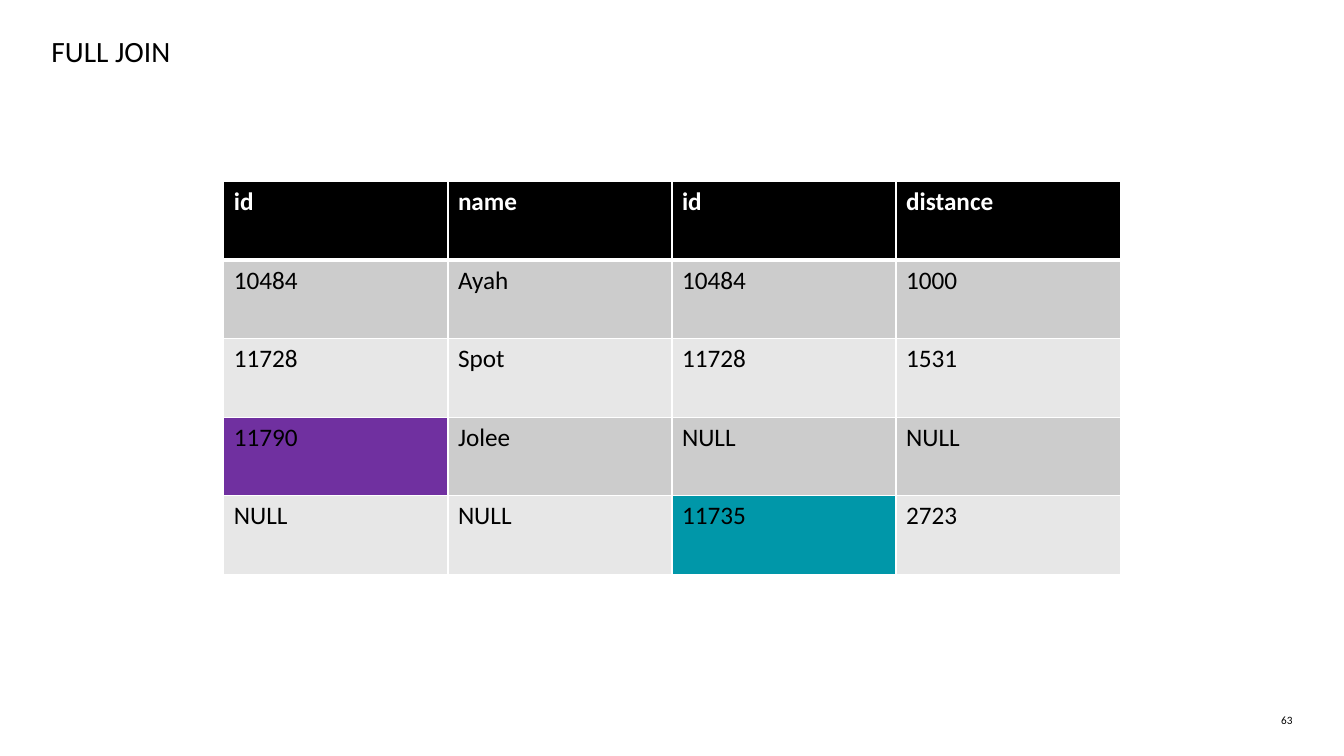
from lxml import etree
from pptx import Presentation
from pptx import util as u
from pptx.dml.color import RGBColor
from pptx.enum import text
from pptx.oxml.ns import qn

FONT = "Calibri"
BLACK, WHITE = "000000", "FFFFFF"
BANDS = ["CCCCCC", "E7E7E7"]
HIGHLIGHTS = {(3, 0): "7030A0", (4, 2): "0097A9"}
JOIN_ROWS = [
    ["id", "name", "id", "distance"],
    ["10484", "Ayah", "10484", "1000"],
    ["11728", "Spot", "11728", "1531"],
    ["11790", "Jolee", "NULL", "NULL"],
    ["NULL", "NULL", "11735", "2723"],
]


def color(value):
    return RGBColor.from_string(value)


def write(frame, words, size, fill=BLACK, bold=False, align=text.PP_ALIGN.LEFT):
    paragraph = frame.paragraphs[0]
    paragraph.alignment = align
    run = paragraph.add_run()
    run.text = words
    run.font.name = FONT
    run.font.size = u.Pt(size)
    run.font.bold = bold
    run.font.color.rgb = color(fill)


def prepare_frame(frame):
    frame.margin_left = frame.margin_right = frame.margin_top = frame.margin_bottom = 0
    frame.vertical_anchor = text.MSO_ANCHOR.TOP
    frame.auto_size = text.MSO_AUTO_SIZE.NONE
    frame.word_wrap = True


def add_border(cell, side, width):
    properties = cell._tc.get_or_add_tcPr()
    line = etree.SubElement(properties, qn("a:ln" + side), w=str(u.Pt(width)))
    fill = etree.SubElement(line, qn("a:solidFill"))
    etree.SubElement(fill, qn("a:srgbClr"), val=WHITE)


def place_title(slide, box, words):
    title = slide.shapes.title
    title.left, title.top, title.width, title.height = [u.Inches(n) for n in box]
    prepare_frame(title.text_frame)
    write(title.text_frame, words, 21)


def place_join_table(slide, box, rows):
    left, top, width, height = [u.Inches(n) for n in box]
    table = slide.shapes.add_table(len(rows), len(rows[0]), left, top, width, height).table
    for r, row in enumerate(rows):
        for c, words in enumerate(row):
            cell = table.cell(r, c)
            header = r == 0
            for side in "LRTB":
                header_edge = (r, side) in [(0, "B"), (1, "T")]
                add_border(cell, side, 3 if header_edge else 1)
            band = BLACK if header else BANDS[(r - 1) % 2]
            cell.fill.solid()
            cell.fill.fore_color.rgb = color(HIGHLIGHTS.get((r, c), band))
            write(cell.text_frame, words, 18, WHITE if header else BLACK, header)


def place_page_number(slide, box, number):
    frame = slide.shapes.add_textbox(*[u.Inches(n) for n in box]).text_frame
    prepare_frame(frame)
    write(frame, number, 8, align=text.PP_ALIGN.RIGHT)


def main():
    presentation = Presentation()
    presentation.slide_width = u.Inches(13.33)
    presentation.slide_height = u.Inches(7.5)
    slide = presentation.slides.add_slide(presentation.slide_layouts[5])
    place_title(slide, (0.51, 0.33, 12.25, 0.38), "FULL JOIN")
    place_join_table(slide, (2.22, 1.8, 8.89, 3.9), JOIN_ROWS)
    place_page_number(slide, (12.48, 7.08, 0.34, 0.13), "63")
    presentation.save("out.pptx")


if __name__ == "__main__":
    main()
